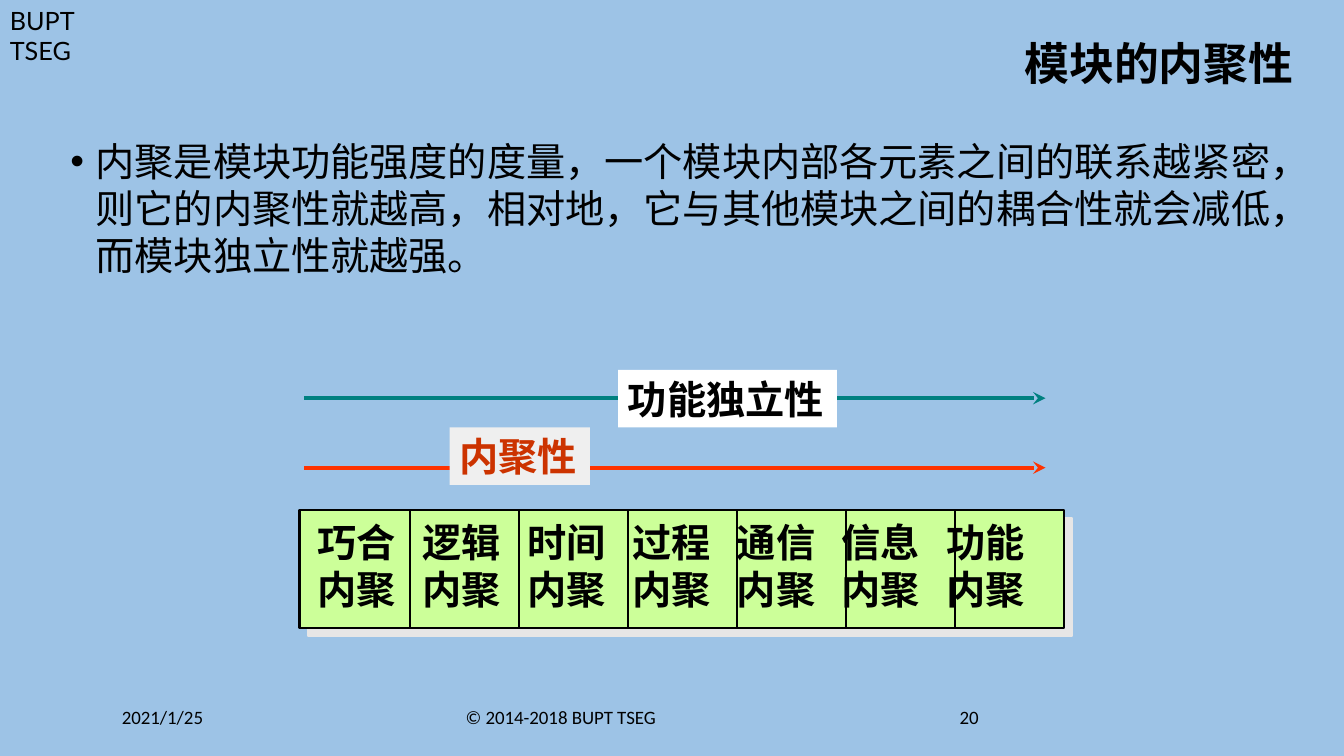
from lxml.etree import SubElement
from pptx import Presentation
from pptx.dml.color import RGBColor
from pptx.enum.shapes import MSO_CONNECTOR, MSO_SHAPE
from pptx.enum.text import MSO_ANCHOR, MSO_AUTO_SIZE, PP_ALIGN
from pptx.oxml.ns import qn
from pptx.util import Inches, Pt

WIDTH, HEIGHT = 13.33, 7.5
CHINESE = "Noto Sans CJK SC"
TITLE = "模块的内聚性"
DEFINITION = ("内聚是模块功能强度的度量，一个模块内部各元素之间的联系越紧密，"
              "则它的内聚性就越高，相对地，它与其他模块之间的耦合性就会减低，"
              "而模块独立性就越强。")
KINDS = ["巧合", "逻辑", "时间", "过程", "通信", "信息", "功能"]
COHESION = "内聚"
ARROWS = [
    (3.95, "008080", "功能独立性", (6.13, 3.67, 2.17, 0.57), "FFFFFF", "000000"),
    (4.64, "FF3300", "内聚性", (4.46, 4.24, 1.39, 0.57), "EFEFEF", "CC3300"),
]
ARROW_LEFT, ARROW_RIGHT = 3.02, 10.37
BAND = (2.97, 5.06, 7.58, 1.17)
DIVIDER_LEFT, DIVIDER_STEP = 4.07, 1.08
LABEL_STEP = 1.04
FOOTERS = [(1.11, 3, "2021/1/25"), (4.52, 4.5, "© 2014-2018 BUPT TSEG"), (9.42, 3, "20")]


def color(value):
    return RGBColor.from_string(value)


def inches(*lengths):
    return [Inches(length) for length in lengths]


def add_child(parent, tag, **attributes):
    values = {name: str(value) for name, value in attributes.items()}
    return SubElement(parent, qn(tag), values)


def write(box, text, size=28, font="Times New Roman", ink="000000", bold=False,
          align=PP_ALIGN.LEFT, anchor=MSO_ANCHOR.TOP, wrap=True, spacing=None,
          bullet=None, tabs=()):
    frame = box.text_frame
    frame.auto_size = MSO_AUTO_SIZE.NONE
    frame.word_wrap = wrap
    frame.vertical_anchor = anchor
    for index, line in enumerate(text.split("\n")):
        para = frame.add_paragraph() if index else frame.paragraphs[0]
        para.alignment = align
        para.line_spacing = spacing
        properties = para._p.get_or_add_pPr()
        if bullet:
            properties.set("marL", str(Inches(0.25)))
            properties.set("indent", str(-Inches(0.25)))
            add_child(properties, "a:buFont", typeface="Arial")
            add_child(properties, "a:buChar", char=bullet)
        if tabs:
            stops = add_child(properties, "a:tabLst")
            for stop in tabs:
                add_child(stops, "a:tab", pos=Inches(stop), algn="l")
        span = para.add_run()
        span.text = line
        span.font.size = Pt(size)
        span.font.name = font
        span.font.bold = bold
        span.font.color.rgb = color(ink)
        add_child(span._r.get_or_add_rPr(), "a:ea", typeface=CHINESE)


def add_text(page, place, text, **style):
    box = page.shapes.add_textbox(*inches(*place))
    write(box, text, **style)


def add_rectangle(page, place, fill, border=None):
    box = page.shapes.add_shape(MSO_SHAPE.RECTANGLE, *inches(*place))
    box.shadow.inherit = False
    box.fill.solid()
    box.fill.fore_color.rgb = color(fill)
    if border:
        box.line.color.rgb = color(border)
        box.line.width = Pt(1.5)
    else:
        box.line.fill.background()
    return box


def add_line(page, ends, ink, width, arrow=False):
    line = page.shapes.add_connector(MSO_CONNECTOR.STRAIGHT, *inches(*ends))
    line.line.color.rgb = color(ink)
    line.line.width = Pt(width)
    if arrow:
        add_child(line.line._get_or_add_ln(), "a:tailEnd", type="stealth")
    add_child(line._element.spPr, "a:effectLst")


def add_band(page):
    left, top, width, height = BAND
    band = add_rectangle(page, BAND, "CCFF99", "000000")
    effects = band._element.spPr.find(qn("a:effectLst"))
    shadow = add_child(effects, "a:outerShdw", dist=Pt(8.5), dir=45 * 60000,
                       algn="ctr", rotWithShape=0)
    add_child(shadow, "a:srgbClr", val="E7E6E6")
    rows = ["\t".join(KINDS), "\t".join([COHESION] * len(KINDS))]
    add_text(page, (left + 0.08, top + 0.03, width - 0.09, 1.04), "\n".join(rows),
             bold=True, tabs=[LABEL_STEP * index for index in range(1, len(KINDS))])
    for index in range(len(KINDS) - 1):
        x = DIVIDER_LEFT + DIVIDER_STEP * index
        add_line(page, (x, top, x, top + height), "000000", 1.5)


def main():
    deck = Presentation()
    deck.slide_width, deck.slide_height = inches(WIDTH, HEIGHT)
    page = deck.slides.add_slide(deck.slide_layouts[5])
    page.background.fill.solid()
    page.background.fill.fore_color.rgb = color("9DC3E6")

    add_text(page, (0, 0, 1.11, 0.71), "BUPT TSEG", size=18, font="Lato")
    title = page.shapes.title
    title.left, title.top, title.width, title.height = inches(1.63, 0.3, 11.3, 0.71)
    write(title, TITLE, size=32, font=CHINESE, bold=True, align=PP_ALIGN.RIGHT,
          anchor=MSO_ANCHOR.MIDDLE, spacing=0.9)
    add_text(page, (0.6, 1.31, 12.13, 5.45), DEFINITION, font=CHINESE, bullet="•")

    add_band(page)
    for y, ink, label, place, fill, label_ink in ARROWS:
        add_line(page, (ARROW_LEFT, y, ARROW_RIGHT, y), ink, 3, arrow=True)
        write(add_rectangle(page, place, fill), label, ink=label_ink, bold=True, wrap=False)
    for left, width, text in FOOTERS:
        add_text(page, (left, 6.95, width, 0.4), text, size=13.5, font="Calibri")
    deck.save("out.pptx")


if __name__ == "__main__":
    main()
